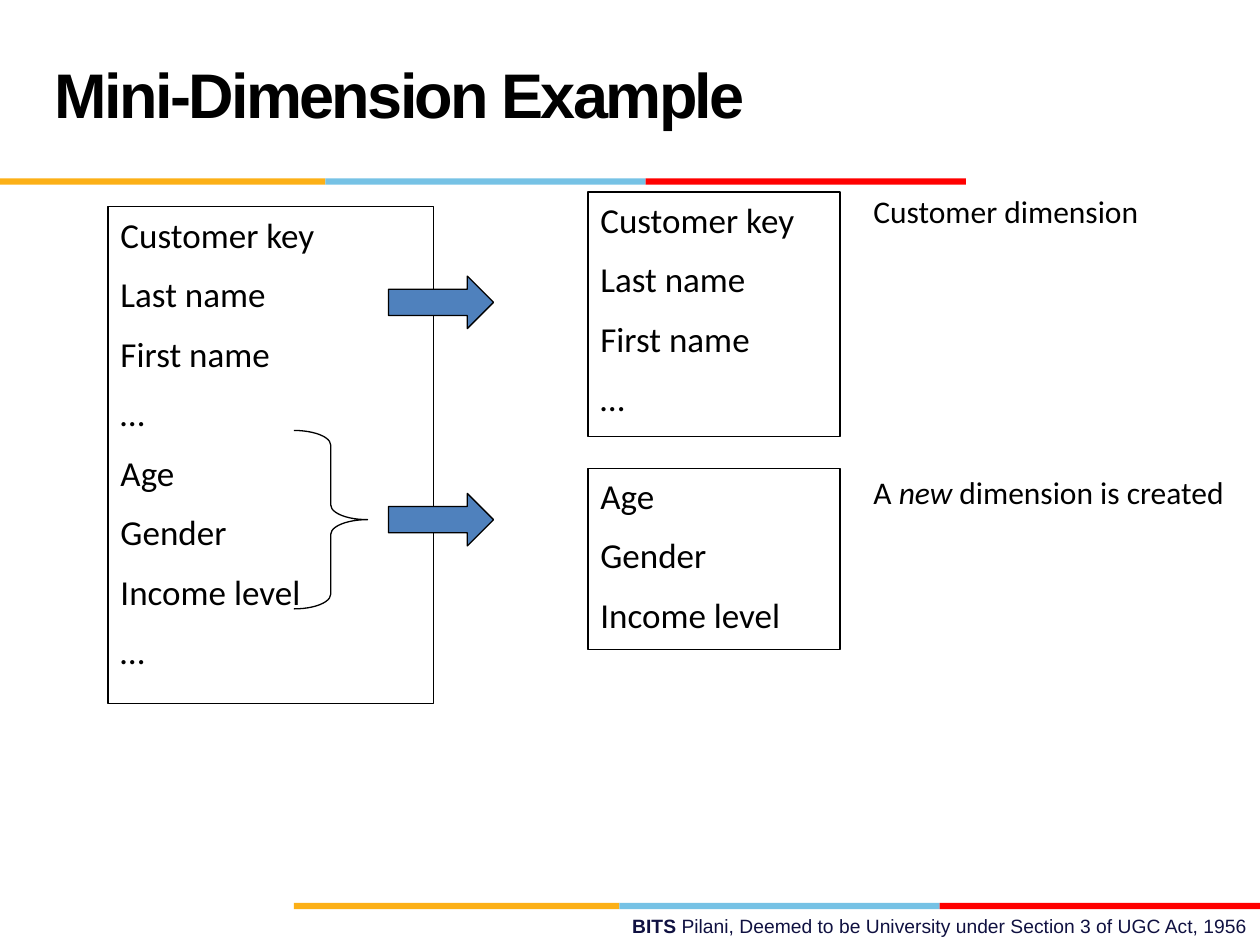
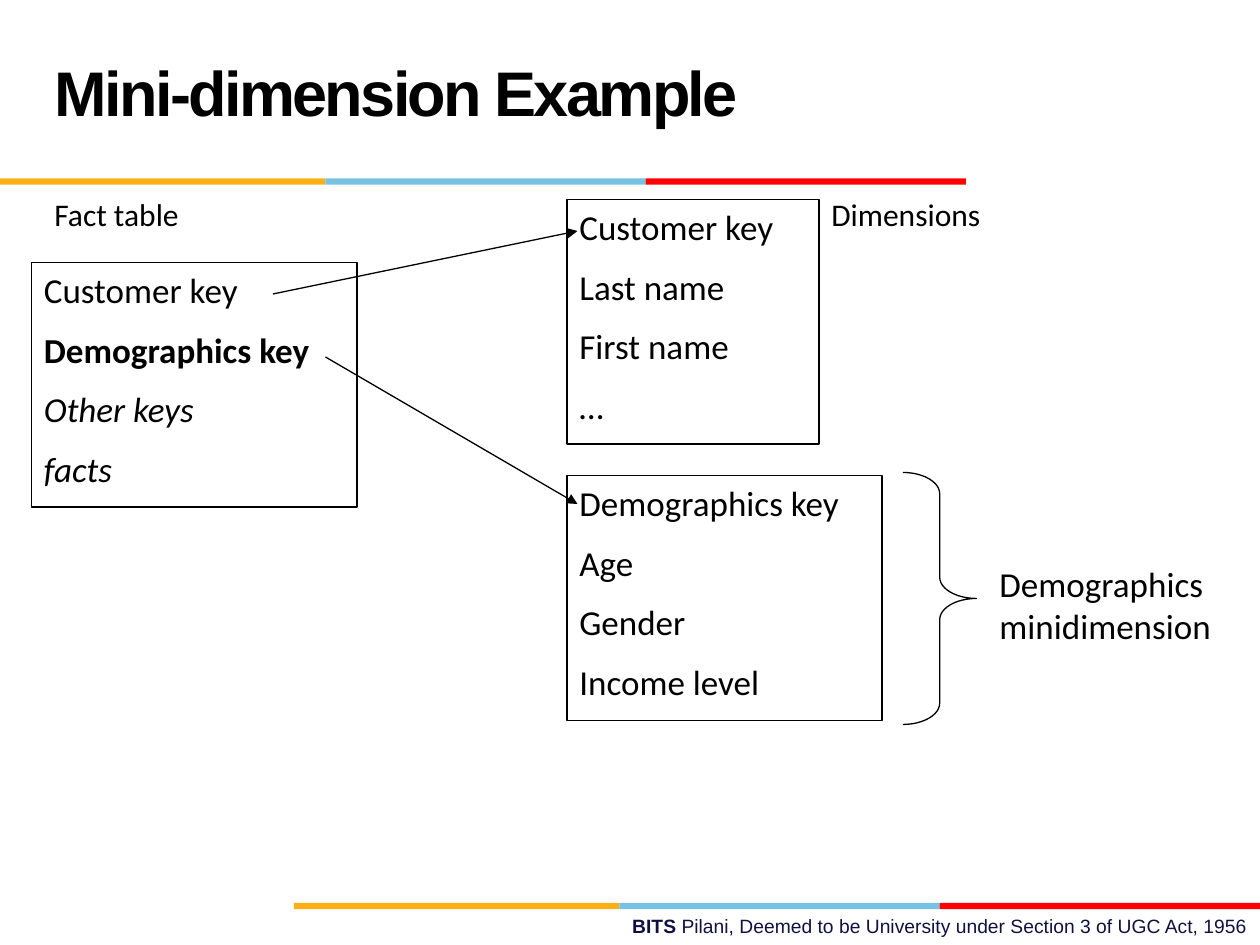
from lxml import etree
from pptx import Presentation
from pptx.dml.color import RGBColor
from pptx.enum.shapes import MSO_CONNECTOR as LINK, MSO_SHAPE as SHAPE
from pptx.enum.text import MSO_ANCHOR as ANCHOR, MSO_AUTO_SIZE as FIT, PP_ALIGN as ALIGN
from pptx.oxml.ns import qn
from pptx.util import Inches, Pt

UNIT = Inches(1) / 12  # the slide is a grid of 120 columns by 90 rows
BLACK, WHITE, NAVY, BLUE = "000000", "FFFFFF", "101141", "4F81BD"
BANDS = (("FCB017", 31), ("76C2E5", 30.5), ("FF0000", 30.5))
BODY = dict(name="Calibri", size=Pt(20), color=BLACK)
LABEL = {**BODY, "size": Pt(18)}
TITLE = dict(name="Arial", size=Pt(36), color=BLACK, bold=True)
FOOT = dict(name="Arial", size=Pt(11), color=NAVY)
BOLD, ITALIC = dict(bold=True), dict(italic=True)
NAMES = ["Customer key", "Last name", "First name", "…"]
TRAITS = ["Age", "Gender", "Income level"]


def grid(*cells):
    return [round(cell * UNIT) for cell in cells]


def rgb(code):
    return RGBColor.from_string(code)


def style(font, form):
    for key, value in form.items():
        if key == "color":
            font.color.rgb = rgb(value)
        else:
            setattr(font, key, value)


def write(frame, paras, form, align=ALIGN.LEFT):
    """Fill a frame; a paragraph is a string or a list of (text, format) runs."""
    frame.word_wrap = True
    frame.auto_size = FIT.NONE
    for i, runs in enumerate(paras):
        para = frame.add_paragraph() if i else frame.paragraphs[0]
        para.alignment = align
        para.space_before = Pt(form["size"].pt / 2) if i else Pt(0)
        for text, extra in [(runs, {})] if isinstance(runs, str) else runs:
            run = para.add_run()
            run.text = text
            style(run.font, {**form, **extra})


def draw(slide, kind, cells, fill=None, line=BLACK, adjust=None):
    shape = slide.shapes.add_shape(kind, *grid(*cells))
    shape.shadow.inherit = False
    if fill:
        shape.fill.solid()
        shape.fill.fore_color.rgb = rgb(fill)
    else:
        shape.fill.background()
    if line:
        shape.line.color.rgb = rgb(line)
        shape.line.width = Pt(0.75)
    else:
        shape.line.fill.background()
    if adjust:
        shape.adjustments[0] = adjust
    return shape


def table(slide, left, top, width, fields):
    """A box that lists fields, as tall as their number asks."""
    high = 6 * len(fields) - 0.7
    box = draw(slide, SHAPE.RECTANGLE, (left, top, width, high), WHITE)
    box.text_frame.vertical_anchor = ANCHOR.TOP
    write(box.text_frame, fields, BODY)


def label(slide, cells, text, form=LABEL, align=ALIGN.LEFT):
    box = slide.shapes.add_textbox(*grid(*cells))
    write(box.text_frame, [text], form, align)


def brace(slide, left, top, high, adjust):
    draw(slide, SHAPE.RIGHT_BRACE, (left, top, 7, high), adjust=adjust)


def arrow(slide, top):
    draw(slide, SHAPE.RIGHT_ARROW, (37, top, 10, 5), BLUE)


def link(slide, *ends):
    line = slide.shapes.add_connector(LINK.STRAIGHT, *grid(*ends))
    line.line.color.rgb = rgb(BLACK)
    line.line.width = Pt(0.75)
    stroke = line._element.spPr.find(qn("a:ln"))
    etree.SubElement(stroke, qn("a:tailEnd"), type="triangle")
    etree.SubElement(line._element.spPr, qn("a:effectLst"))


def band(slide, left, top):
    for color, width in BANDS:
        draw(slide, SHAPE.RECTANGLE, (left, top, width, 0.6), color, line=None)
        left += width


def start(deck, title, top, high):
    """Add a slide with its title, both bands and the footer."""
    slide = deck.slides.add_slide(deck.slide_layouts[5])
    band(slide, 0, 17)
    band(slide, 28, 86)
    label(slide, (43, 86.5, 77, 3.5),
          [("BITS ", BOLD),
           ("Pilani, Deemed to be University under Section 3 of UGC Act, 1956", {})],
          FOOT, ALIGN.RIGHT)
    head = slide.shapes.title
    head.left, head.top, head.width, head.height = grid(4, top, 83, high)
    frame = head.text_frame
    frame.vertical_anchor = ANCHOR.MIDDLE
    write(frame, [title], TITLE)
    para = frame.paragraphs[0]
    para.line_spacing = Pt(36)
    para.runs[0]._r.get_or_add_rPr().set("spc", "-150")
    return slide


def split(deck):
    slide = start(deck, "Mini-Dimension Example", 2, 15)
    table(slide, 10.3, 19.7, 31, NAMES + TRAITS + ["…"])
    brace(slide, 28, 41, 17, 0.2)
    arrow(slide, 47)
    table(slide, 56, 44.6, 24, TRAITS)
    arrow(slide, 26.3)
    table(slide, 56, 18.3, 24, NAMES)
    label(slide, (82, 17.7, 38, 4.8), "Customer dimension")
    label(slide, (82, 44.5, 38, 10.8),
          [("A ", {}), ("new", ITALIC), (" dimension is created", {})])


def join(deck):
    slide = start(deck, "Mini-dimension Example", 5.3, 8)
    table(slide, 3, 25, 31, ["Customer key", [("Demographics key", BOLD)],
                             [("Other keys", ITALIC)], [("facts", ITALIC)]])
    table(slide, 54, 45.3, 30, ["Demographics key"] + TRAITS)
    table(slide, 54, 19, 24, NAMES)
    link(slide, 26, 28, 55, 22)
    link(slide, 31, 34, 55, 48)
    brace(slide, 86, 45, 24, 0.29)
    label(slide, (94, 53, 26, 9.2), "Demographics minidimension", BODY)
    label(slide, (4, 18, 36, 6), "Fact table")
    label(slide, (78, 18, 32, 6), "Dimensions")


def main():
    deck = Presentation()
    deck.slide_width, deck.slide_height = grid(120, 90)
    split(deck)
    join(deck)
    deck.save("out.pptx")


if __name__ == "__main__":
    main()
